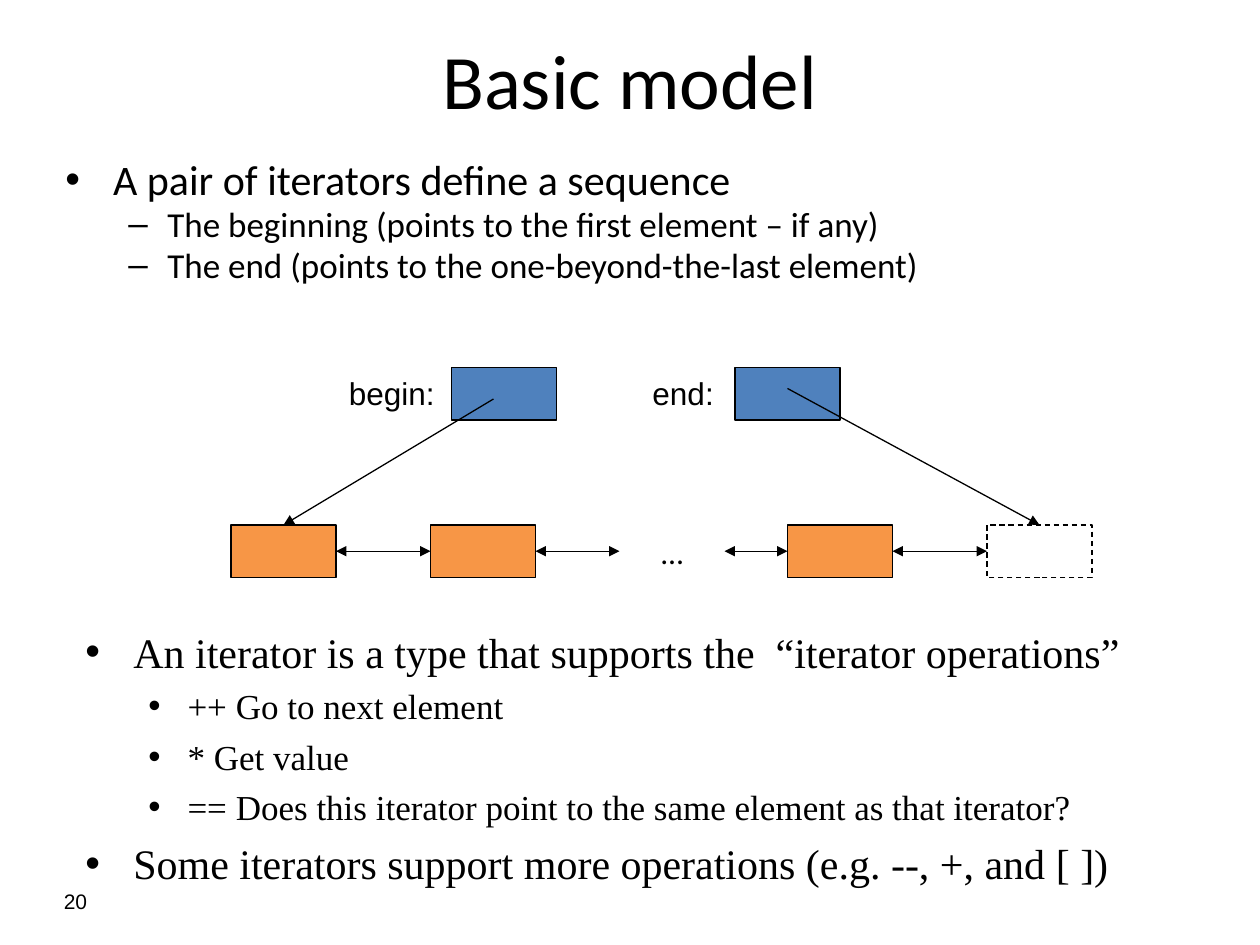
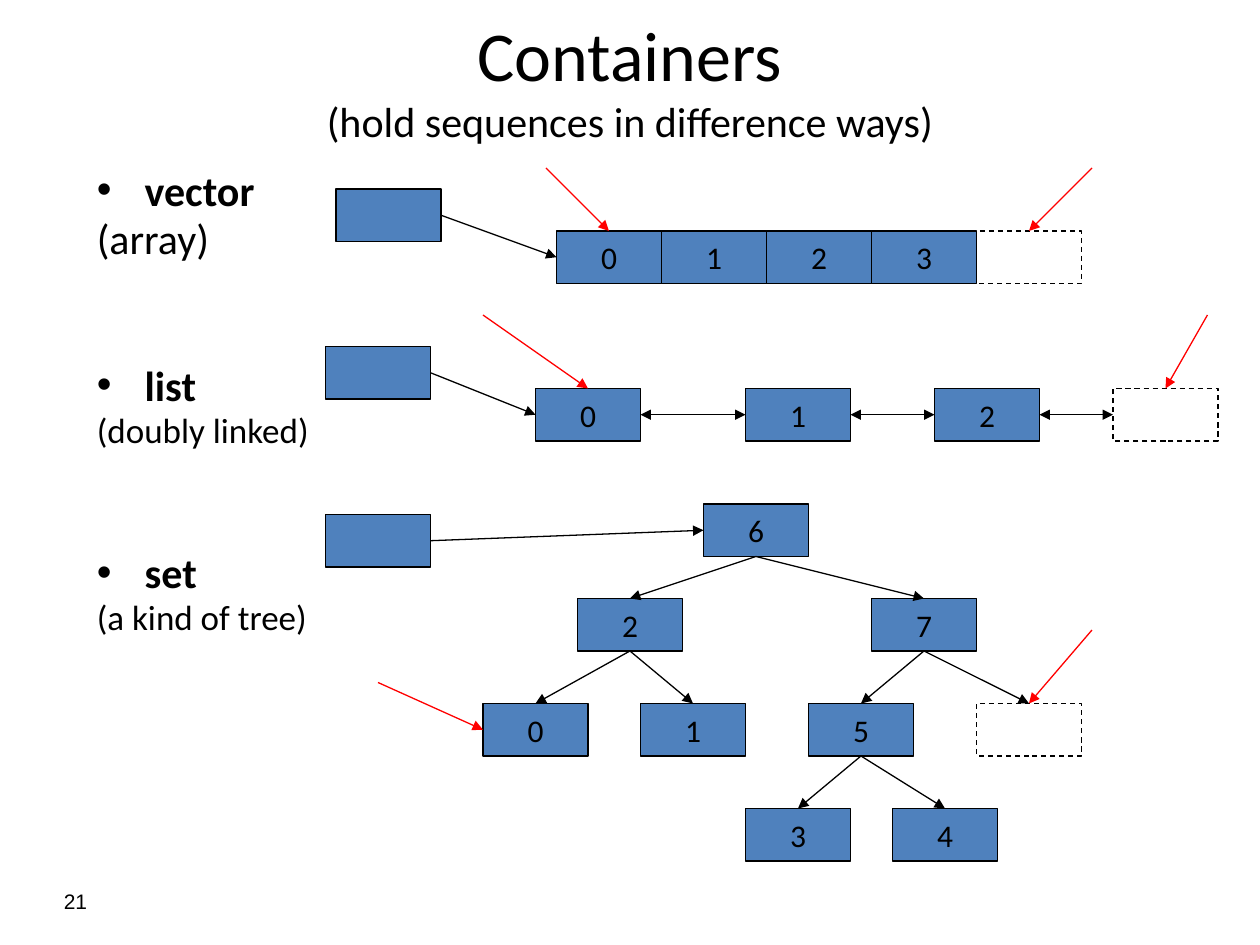
from lxml.etree import SubElement as Sub
from pptx import Presentation
from pptx.dml.color import RGBColor
from pptx.enum.dml import MSO_LINE_DASH_STYLE as Dash
from pptx.enum.shapes import MSO_CONNECTOR as Conn, MSO_SHAPE as Shape
from pptx.enum.text import MSO_ANCHOR as Anchor, PP_ALIGN as Align
from pptx.oxml.ns import qn
from pptx.util import Inches, Pt

COLORS = {"ink": "000000", "blue": "4F81BD", "orange": "F79646", "red": "FF0000"}
SANS, SERIF, PLAIN = "Calibri", "Times New Roman", "Arial"
TOP, LEFT, BOTTOM, RIGHT = range(4)

# Diagrams sit on a grid of twelfths of an inch
GRID = 12
WIDE, HIGH = 10, 5

# Text lines: (text, size, bullet, level, bold, extra points before)
MODEL = [
    ("A pair of iterators define a sequence", 24, "•", 0, False, 0),
    ("The beginning (points to the first element – if any)", 20, "–", 1, False, 0),
    ("The end (points to the one-beyond-the-last element)", 20, "–", 1, False, 0),
]
OPS = [
    ("An iterator is a type that supports the  “iterator operations”", 24, "•", 0, False, 0),
    ("++ Go to next element", 20, "•", 1, False, 0),
    ("* Get value", 20, "•", 1, False, 0),
    ("== Does this iterator point to the same element as that iterator?", 20, "•", 1, False, 0),
    ("Some iterators support more operations (e.g. --, +, and [ ])", 24, "•", 0, False, 0),
]
KINDS = [
    ("vector", 24, "•", 0, True, 0),
    ("(array)", 24, "", 0, False, 0),
    ("list", 24, "•", 0, True, 56),
    ("(doubly linked)", 20, "", 0, False, 0),
    ("set", 24, "•", 0, True, 56),
    ("(a kind of tree)", 20, "", 0, False, 0),
]
INDENT = [(0.38, -0.38), (0.81, -0.31)]

# Boxes: name -> (column, row, fill, label); no fill means past the end
CHAIN = {
    "begin": (43, 35, "blue", ""), "end": (70, 35, "blue", ""),
    "first": (22, 50, "orange", ""), "second": (41, 50, "orange", ""),
    "last": (75, 50, "orange", ""), "past": (94, 50, None, ""),
}
VECTOR = {f"v{i}": (53 + WIDE * i, 22, "blue", str(i)) for i in range(4)}
LIST = {f"l{i}": (col, 37, "blue", str(i)) for i, col in enumerate((51, 71, 89))}
TREE = {
    "s" + key: (col, row, "blue", key) for key, col, row in [
        ("6", 67, 48), ("2", 55, 57), ("7", 83, 57), ("0", 46, 67),
        ("1", 61, 67), ("5", 77, 67), ("3", 71, 77), ("4", 85, 77)]
}
HEADS = {
    "vector": (32, 18, "blue", ""), "list": (31, 33, "blue", ""),
    "set": (31, 49, "blue", ""),
}
ENDS = {"vend": (93, 22, None, ""), "lend": (106, 37, None, ""),
        "send": (93, 67, None, "")}

# Links between boxes
ROW = ["l0", "l1", "l2", "lend"]
OWNS = [("vector", "v0"), ("list", "l0"), ("set", "s6")]
BRANCH = {"s6": ["s2", "s7"], "s2": ["s0", "s1"], "s7": ["s5", "send"],
          "s5": ["s3", "s4"]}
MARKS = [  # (start point, box, side)
    ((52, 16), "v0", TOP), ((104, 16), "vend", TOP),
    ((46, 30), "l0", TOP), ((115, 30), "lend", TOP),
    ((36, 65), "s0", LEFT), ((104, 60), "send", TOP),
]


def color(name):
    return RGBColor.from_string(COLORS[name])


def cell(num):
    return Inches(num / GRID)


def add_run(par, text, size, font=SANS, bold=False):
    run = par.add_run()
    run.text = text
    run.font.size, run.font.name, run.font.bold = Pt(size), font, bold
    run.font.color.rgb = color("ink")


def add_text(slide, at, anchor=Anchor.TOP, align=Align.LEFT):
    frame = slide.shapes.add_textbox(*map(Inches, at)).text_frame
    frame.word_wrap, frame.vertical_anchor = True, anchor
    frame.paragraphs[0].alignment = align
    return frame


def add_label(slide, at, text):
    add_run(add_text(slide, at).paragraphs[0], text, 18, PLAIN)


def add_lines(slide, at, lines, font=SANS, pitch=0.8, gap=0.2):
    frame = add_text(slide, at)
    for i, (text, size, mark, level, bold, extra) in enumerate(lines):
        par = frame.add_paragraph() if i else frame.paragraphs[0]
        par.level, par.line_spacing = level, pitch
        par.space_before = Pt(gap * size + extra)
        if mark:
            props = par._p.get_or_add_pPr()
            left, hang = INDENT[level]
            props.set("marL", str(Inches(left)))
            props.set("indent", str(Inches(hang)))
            Sub(props, qn("a:buFont")).set("typeface", PLAIN)
            Sub(props, qn("a:buChar")).set("char", mark)
        add_run(par, text, size, font, bold)


def add_boxes(slide, specs):
    boxes = {}
    for name, (col, row, fill, label) in specs.items():
        box = slide.shapes.add_shape(
            Shape.RECTANGLE, cell(col), cell(row), cell(WIDE), cell(HIGH))
        box.shadow.inherit = False
        box.line.color.rgb, box.line.width = color("ink"), Pt(0.75)
        if fill:
            box.fill.solid()
            box.fill.fore_color.rgb = color(fill)
        else:
            box.fill.background()
            box.line.dash_style = Dash.DASH
        if label:
            frame = box.text_frame
            frame.word_wrap, frame.vertical_anchor = False, Anchor.MIDDLE
            par = frame.paragraphs[0]
            par.alignment = Align.CENTER
            add_run(par, label, 18)
        boxes[name] = box
    return boxes


def add_link(slide, start, end, both=False, tint="ink"):
    """Each end is a grid point or a pair of box and side."""
    fixed = [isinstance(tip[0], (int, float)) for tip in (start, end)]
    spots = [cell(num) for tip, free in zip((start, end), fixed)
             for num in (tip if free else (0, 0))]
    link = slide.shapes.add_connector(Conn.STRAIGHT, *spots)
    if not fixed[0]:
        link.begin_connect(*start)
    if not fixed[1]:
        link.end_connect(*end)
    link.line.color.rgb, link.line.width = color(tint), Pt(0.75)
    line = link.line._get_or_add_ln()
    for tag in ["a:headEnd", "a:tailEnd"] if both else ["a:tailEnd"]:
        Sub(line, qn(tag)).set("type", "triangle")
    Sub(link._element.spPr, qn("a:effectLst"))


def add_slide(deck, page, title, size, sub=""):
    slide = deck.slides.add_slide(deck.slide_layouts[6])
    par = add_text(slide, (0.5, 0, 9, 1.25), Anchor.MIDDLE, Align.CENTER).paragraphs[0]
    add_run(par, title, size)
    if sub:
        par.add_line_break()
        add_run(par, sub, 24)
    foot = add_text(slide, (0.2, 6.95, 0.59, 0.4), Anchor.MIDDLE, Align.RIGHT)
    add_run(foot.paragraphs[0], str(page), 12, PLAIN)
    return slide


def model_slide(deck):
    slide = add_slide(deck, 20, "Basic model", 44)
    add_lines(slide, (0.42, 1.25, 9, 1.17), MODEL)
    add_lines(slide, (0.58, 4.92, 8.92, 2.75), OPS, SERIF, 1.0, 0.24)

    # Iterators and the chain they bound
    box = add_boxes(slide, CHAIN)
    add_label(slide, (2.67, 2.92, 1.08, 0.4), "begin:")
    add_label(slide, (5.08, 2.92, 1.08, 0.4), "end:")
    dots = add_text(slide, (4.92, 4.17, 0.83, 0.42), Anchor.MIDDLE, Align.CENTER)
    add_run(dots.paragraphs[0], "…", 18)
    mid = 50 + HIGH / 2
    for start, end in [
        ((box["first"], RIGHT), (box["second"], LEFT)),
        ((box["second"], RIGHT), (59, mid)),
        ((69, mid), (box["last"], LEFT)),
        ((box["last"], RIGHT), (box["past"], LEFT)),
    ]:
        add_link(slide, start, end, both=True)
    add_link(slide, (47, 38), (box["first"], TOP))
    add_link(slide, (75, 37), (box["past"], TOP))


def kinds_slide(deck):
    slide = add_slide(deck, 21, "Containers", 40, "(hold sequences in difference ways)")
    add_lines(slide, (0.67, 1.33, 2.17, 4.95), KINDS)
    box = add_boxes(slide, {**HEADS, **ENDS, **VECTOR, **LIST, **TREE})

    # Structure in black, iterators in red
    for head, first in OWNS:
        add_link(slide, (box[head], RIGHT), (box[first], LEFT))
    for prev, succ in zip(ROW, ROW[1:]):
        add_link(slide, (box[prev], RIGHT), (box[succ], LEFT), both=True)
    for root, kids in BRANCH.items():
        for kid in kids:
            add_link(slide, (box[root], BOTTOM), (box[kid], TOP))
    for start, name, side in MARKS:
        add_link(slide, start, (box[name], side), tint="red")


def main():
    deck = Presentation()
    deck.slide_width, deck.slide_height = Inches(10), Inches(7.5)
    model_slide(deck)
    kinds_slide(deck)
    deck.save("out.pptx")


if __name__ == "__main__":
    main()
